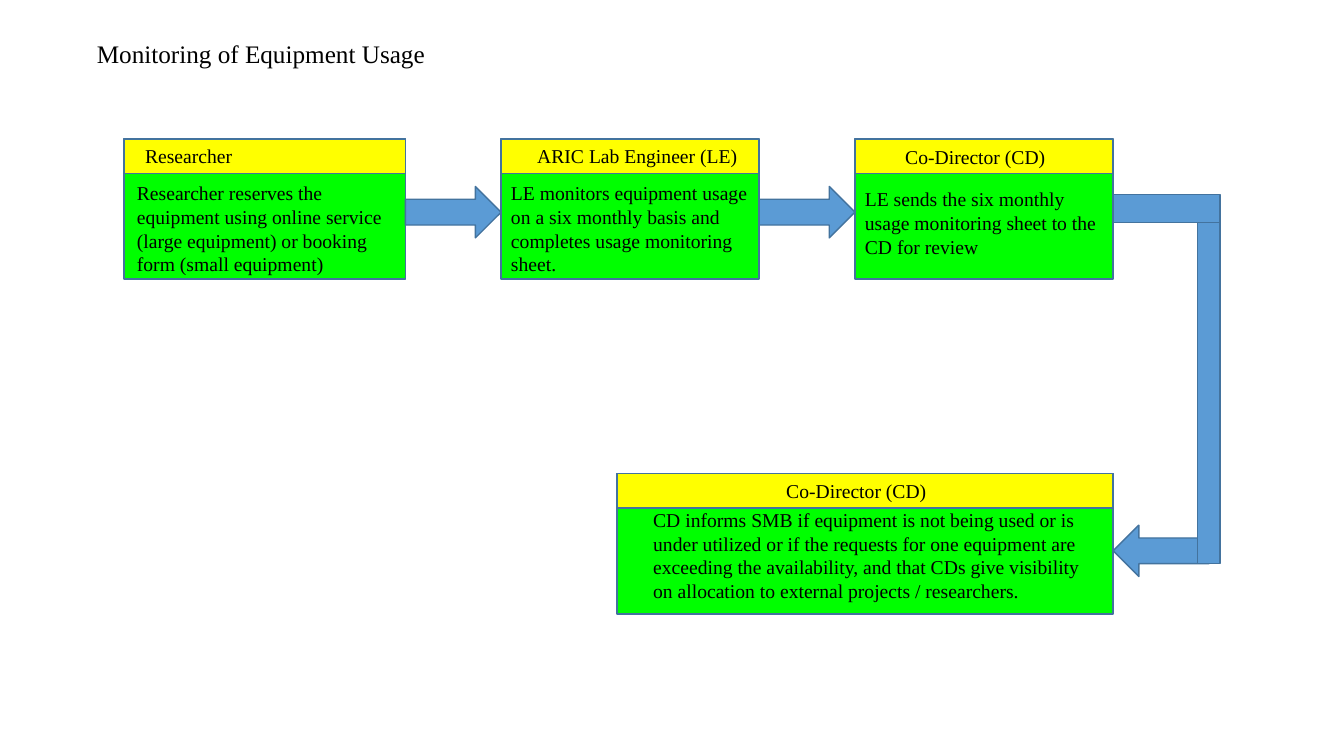
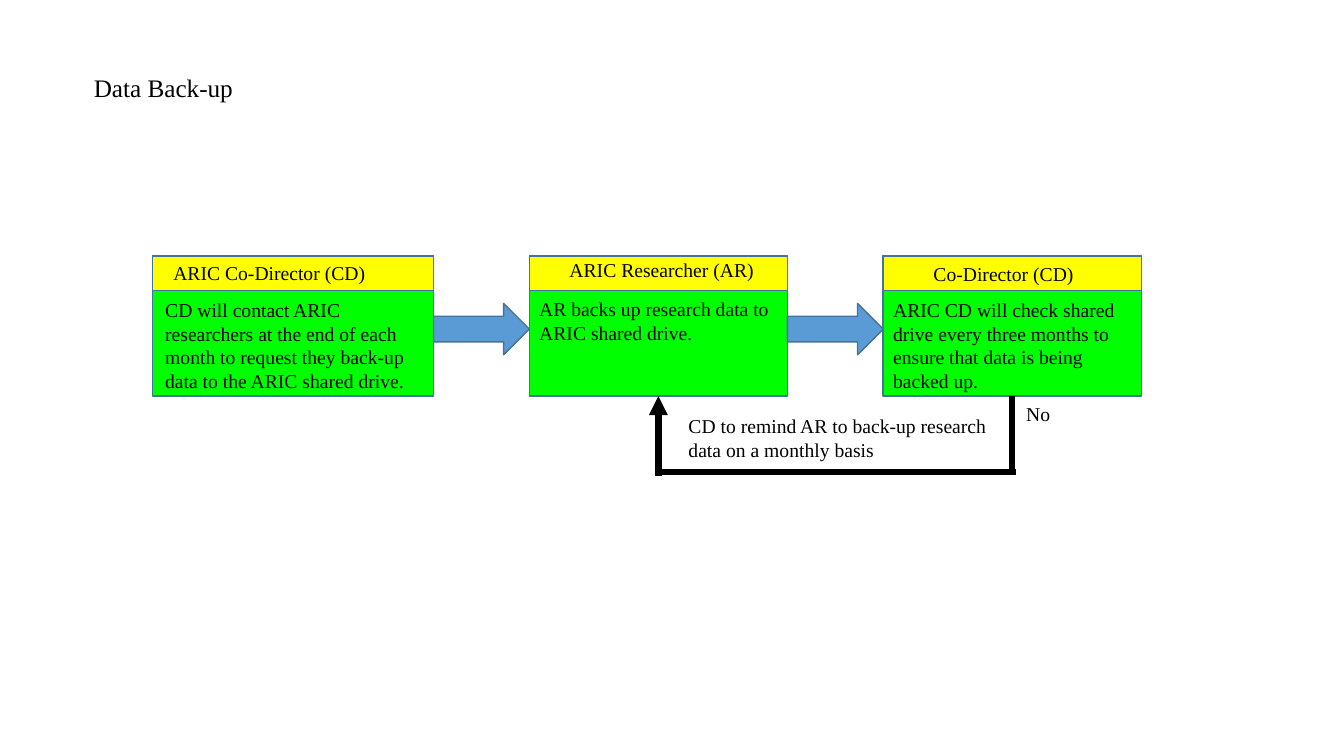
from collections import namedtuple

from lxml import etree
from pptx import Presentation
from pptx.dml.color import RGBColor
from pptx.enum.shapes import MSO_CONNECTOR, MSO_SHAPE
from pptx.enum.text import MSO_ANCHOR, MSO_AUTO_SIZE, PP_ALIGN
from pptx.oxml.ns import qn
from pptx.util import Inches, Pt

RECTANGLE = MSO_SHAPE.RECTANGLE
RIGHT_ARROW = MSO_SHAPE.RIGHT_ARROW
LEFT_ARROW = MSO_SHAPE.LEFT_ARROW
STRAIGHT = MSO_CONNECTOR.STRAIGHT
TOP = MSO_ANCHOR.TOP
LEFT = PP_ALIGN.LEFT
FIXED_SIZE = MSO_AUTO_SIZE.NONE

FONT = "Times New Roman"
TITLE_SIZE, TEXT_SIZE = 18, 14
BLACK, GREEN, YELLOW = "000000", "00FF00", "FFFF00"
BLUE, OUTLINE = "5B9BD5", "43739E"

SLIDE_WIDTH, SLIDE_HEIGHT = 13.33, 7.5
TITLE_ONLY = 5
CARD_WIDTHS = (2.79, 2.56, 2.56)
CARD_HEIGHT, HEADER_HEIGHT = 1.39, 0.34
GAP = 0.95
ARROW_HEIGHT, ARROW_DROP = 0.51, 0.47

Box = namedtuple("Box", "left top width height")
Card = namedtuple("Card", "header body header_shift body_shift")


def color(hex_string):
    """Turn a hex string into a colour."""
    return RGBColor.from_string(hex_string)


def place(box):
    """Convert a box in inches to slide lengths."""
    return [Inches(length) for length in box]


def add_block(slide, box, fill, preset=RECTANGLE):
    """Draw an outlined preset shape."""
    block = slide.shapes.add_shape(preset, *place(box))
    block.shadow.inherit = False
    block.fill.solid()
    block.fill.fore_color.rgb = color(fill)
    block.line.color.rgb = color(OUTLINE)
    block.line.width = Pt(1)


def write(frame, text, size, wrap=True):
    """Fill a text frame in the shared style."""
    frame.word_wrap = wrap
    frame.auto_size = FIXED_SIZE
    frame.vertical_anchor = TOP
    frame.text = text
    paragraph = frame.paragraphs[0]
    paragraph.alignment = LEFT
    for run in paragraph.runs:
        run.font.name = FONT
        run.font.size = Pt(size)
        run.font.color.rgb = color(BLACK)


def add_label(slide, box, text):
    """Place a wrapped text box."""
    label = slide.shapes.add_textbox(*place(box))
    write(label.text_frame, text, TEXT_SIZE)


def add_titled_slide(deck, title, box):
    """Add a slide and place its title."""
    slide = deck.slides.add_slide(deck.slide_layouts[TITLE_ONLY])
    heading = slide.shapes.title
    heading.left, heading.top, heading.width, heading.height = place(box)
    write(heading.text_frame, title, TITLE_SIZE, wrap=False)
    return slide


def add_card(slide, box, card):
    """Draw a role header over its task, with text shifted from the corner."""
    add_block(slide, box, GREEN)
    add_block(slide, box._replace(height=HEADER_HEIGHT), YELLOW)
    header_x, header_y = card.header_shift
    body_x, body_y = card.body_shift
    add_label(slide, Box(box.left + header_x, box.top + header_y,
                         box.width - header_x, HEADER_HEIGHT), card.header)
    add_label(slide, Box(box.left + body_x, box.top + body_y,
                         box.width - body_x * 1.5, box.height - body_y), card.body)


def add_card_row(slide, left, top, cards):
    """Lay cards out in a row joined by arrows and return their boxes."""
    boxes = []
    for width, card in zip(CARD_WIDTHS, cards):
        if boxes:
            add_block(slide, Box(left - GAP, top + ARROW_DROP, GAP, ARROW_HEIGHT),
                      BLUE, RIGHT_ARROW)
        box = Box(left, top, width, CARD_HEIGHT)
        add_card(slide, box, card)
        boxes.append(box)
        left += width + GAP
    return boxes


def add_elbow(slide, start, end):
    """Lead a broad arrow from the right side of one card down to another."""
    bar, reach = 0.22, 1.06
    right = start.left + start.width
    upper = start.top + 0.55
    arrow_top = end.top + ARROW_HEIGHT
    lower = arrow_top + ARROW_HEIGHT * 3 / 4
    add_block(slide, Box(right, arrow_top, GAP, ARROW_HEIGHT), BLUE, LEFT_ARROW)
    add_block(slide, Box(right + reach - bar, upper + bar, bar, lower - upper - bar), BLUE)
    add_block(slide, Box(right, upper, reach, 0.28), BLUE)


def add_thick_line(slide, start, end, arrow=False):
    """Draw a thick black line, with an arrowhead at its end if asked."""
    line = slide.shapes.add_connector(STRAIGHT, *place(start + end))
    line.line.color.rgb = color(BLACK)
    line.line.width = Pt(4.5)
    if arrow:
        etree.SubElement(line.line._get_or_add_ln(), qn("a:tailEnd"), type="triangle")
    etree.SubElement(line._element.spPr, qn("a:effectLst"))


def add_return_loop(slide, source, target, reminder, condition):
    """Lead a labelled loop from below one card back up to another."""
    bottom = source.top + source.height
    rail = bottom + 0.75
    overlap = 0.04
    start = source.left + source.width / 2
    end = target.left + target.width / 2
    add_thick_line(slide, (end, rail + overlap), (end, bottom), arrow=True)
    add_thick_line(slide, (end, rail), (start + overlap, rail))
    add_thick_line(slide, (start, rail), (start, bottom))
    add_label(slide, Box(end + 0.2, bottom + 0.13, 3.31, 0.57), reminder)
    add_label(slide, Box(start + overlap, bottom + 0.01, 0.6, HEADER_HEIGHT), condition)


def build_monitoring(deck):
    """Build the equipment usage slide."""
    slide = add_titled_slide(deck, "Monitoring of Equipment Usage", Box(0.86, 0.33, 3.49, 0.4))
    boxes = add_card_row(slide, 1.23, 1.38, [
        Card("Researcher",
             "Researcher reserves the equipment using online service "
             "(large equipment) or booking form (small equipment)",
             (0.11, 0), (0.03, 0.37)),
        Card("ARIC Lab Engineer (LE)",
             "LE monitors equipment usage on a six monthly basis and "
             "completes usage monitoring sheet.",
             (0.26, 0), (0, 0.37)),
        Card("Co-Director (CD)",
             "LE sends the six monthly usage monitoring sheet to the CD for review",
             (0.4, 0.01), (0, 0.43)),
    ])
    last = boxes[-1]
    outcome_width = 4.92
    outcome = Box(last.left + last.width - outcome_width, 4.7, outcome_width, CARD_HEIGHT)
    add_card(slide, outcome, Card(
        "Co-Director (CD)",
        "CD informs SMB if equipment is not being used or is under utilized or if "
        "the requests for one equipment are exceeding the availability, and that CDs "
        "give visibility on allocation to external projects / researchers.",
        (1.58, 0), (0.26, 0.29)))
    add_elbow(slide, last, outcome)


def build_backup(deck):
    """Build the data back-up slide."""
    slide = add_titled_slide(deck, "Data Back-up", Box(0.83, 0.67, 1.6, 0.4))
    boxes = add_card_row(slide, 1.51, 2.54, [
        Card("ARIC Co-Director (CD)",
             "CD will contact ARIC researchers at the end of each month to request "
             "they back-up data to the ARIC shared drive.",
             (0.11, 0), (0.03, 0.37)),
        Card("ARIC Researcher (AR)",
             "AR backs up research data to ARIC shared drive.",
             (0.3, -0.03), (0, 0.36)),
        Card("Co-Director (CD)",
             "ARIC CD will check shared drive every three months to ensure that "
             "data is being backed up.",
             (0.4, 0.01), (0, 0.37)),
    ])
    add_return_loop(slide, boxes[2], boxes[1],
                    "CD to remind AR to back-up research data on a monthly basis", "No")


def main():
    """Build and save the presentation."""
    deck = Presentation()
    deck.slide_width = Inches(SLIDE_WIDTH)
    deck.slide_height = Inches(SLIDE_HEIGHT)
    build_monitoring(deck)
    build_backup(deck)
    deck.save("out.pptx")


if __name__ == "__main__":
    main()
